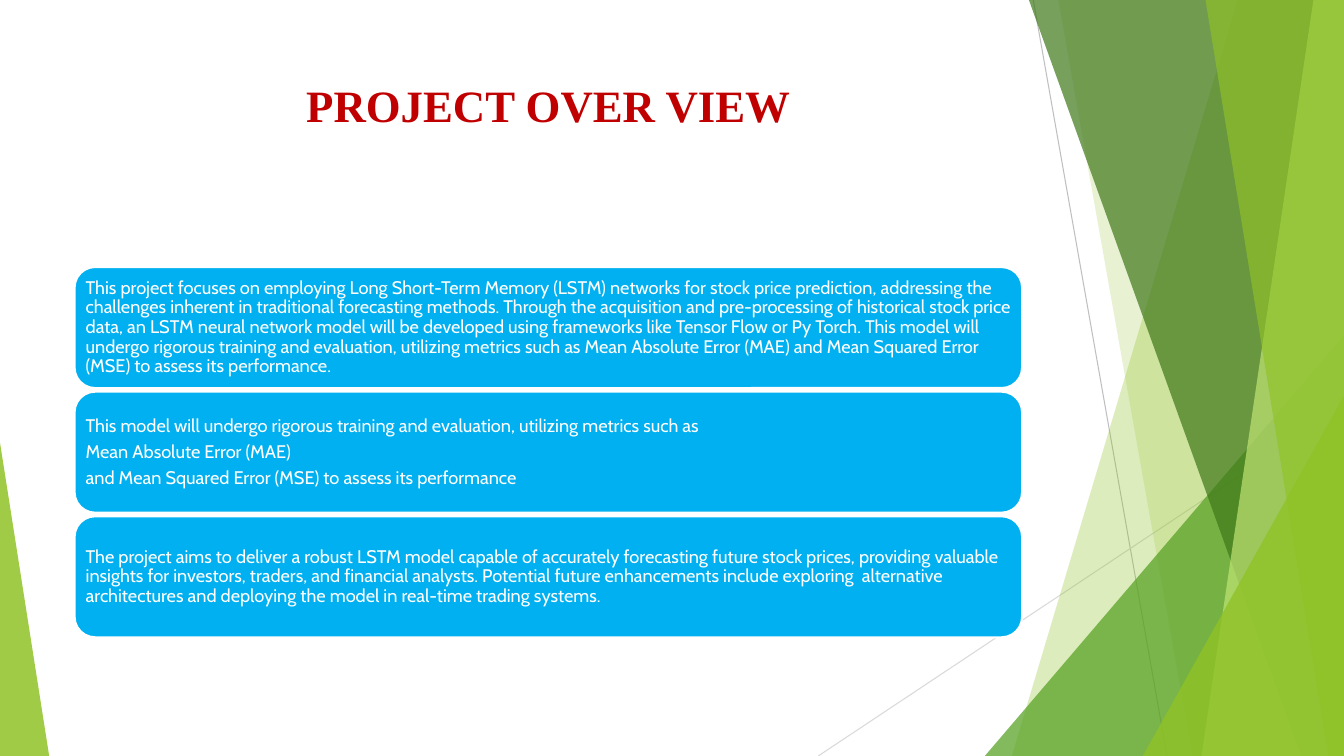
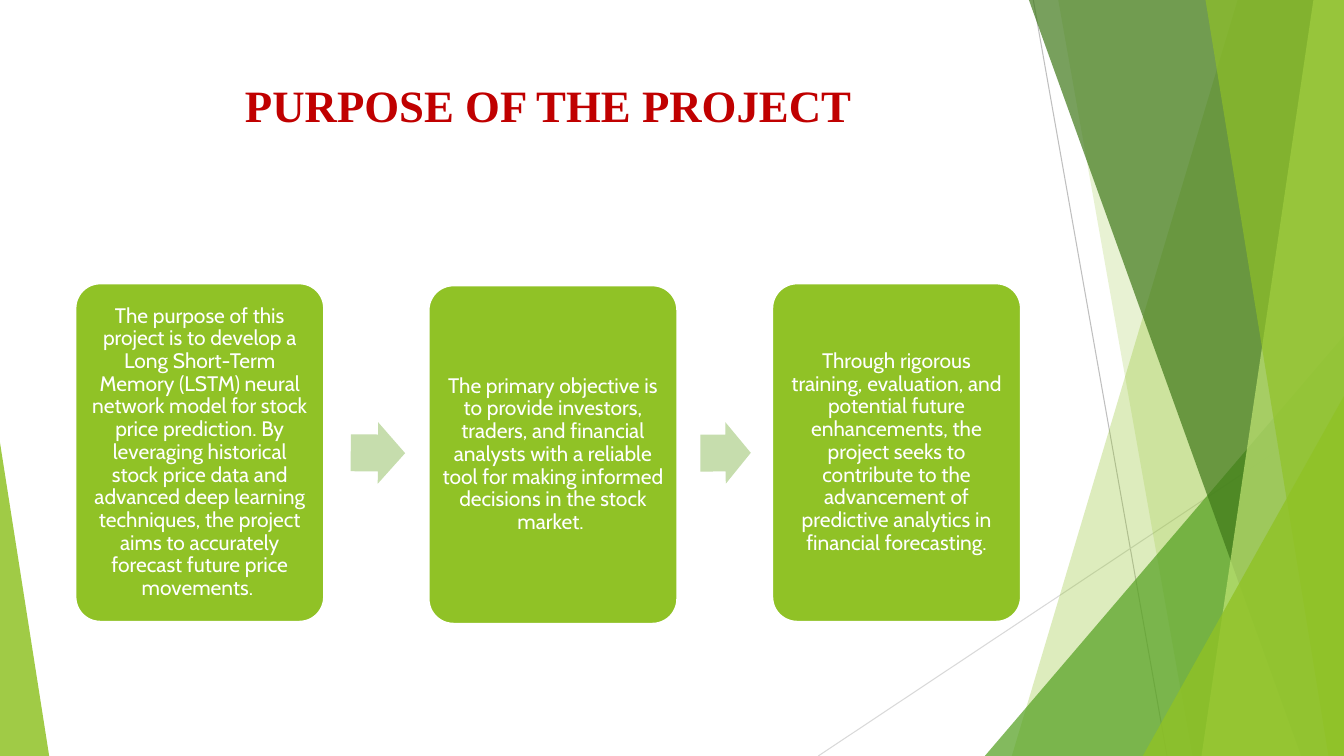
import dataclasses

import lxml.etree
import pptx
import pptx.dml.color
import pptx.enum.shapes
import pptx.enum.text
import pptx.oxml
import pptx.oxml.ns
import pptx.presentation
import pptx.shapes.autoshape
import pptx.slide
import pptx.util

Cm = pptx.util.Cm
Pt = pptx.util.Pt
SHAPE = pptx.enum.shapes.MSO_SHAPE
ALIGN = pptx.enum.text.PP_ALIGN
ANCHOR = pptx.enum.text.MSO_ANCHOR

# Shared look
WIDTH, HEIGHT = 33.87, 19.05
WHITE, RED, BLUE = "FFFFFF", "C00000", "00B0F0"
GREEN, MID_GREEN, DARK_GREEN = "90C226", "54A021", "3F7819"
LIME, PALE_GREEN = "C0E474", "C6DDAD"
TITLE_FONT, BODY_FONT = "Times New Roman", "Cabin"


@dataclasses.dataclass(frozen=True)
class Ray:
    """Thin straight line of the backdrop."""
    start: tuple[float, float]
    end: tuple[float, float]
    colour: str


@dataclasses.dataclass(frozen=True)
class Facet:
    """Area between a slanted edge and the right side of the slide."""
    top_x: float
    bottom_x: float
    colour: str
    opacity: int


@dataclasses.dataclass(frozen=True)
class Corner:
    """Right triangle standing on the bottom of the slide."""
    left: float
    width: float
    height: float
    peak: float
    colour: str
    opacity: int


@dataclasses.dataclass(frozen=True)
class Box:
    left: float
    top: float
    paragraphs: tuple[str, ...]


@dataclasses.dataclass(frozen=True)
class BoxStyle:
    width: float
    height: float
    rounding: float
    inset: float
    size: float
    colour: str
    alignment: pptx.enum.text.PP_ALIGN


@dataclasses.dataclass(frozen=True)
class Arrow:
    left: float
    width: float
    rotation: float


BACKDROP = (
    Ray((26.04, 0), (29.41, HEIGHT), "BFBFBF"),
    Ray((WIDTH, 10.24), (20.62, HEIGHT), "D9D9D9"),
    Facet(31.19, 25.5, GREEN, 30),
    Facet(26.67, 30.05, GREEN, 20),
    Corner(24.82, 9.05, 10.59, 1, MID_GREEN, 72),
    Facet(25.93, 32.79, DARK_GREEN, 70),
    Facet(33.1, 30.28, LIME, 70),
    Facet(30.38, 33.48, GREEN, 65),
    Corner(28.8, 5.07, 9.07, 1, GREEN, 80),
    Corner(0, 1.24, 7.9, 0, GREEN, 85),
)

OVERVIEW_STYLE = BoxStyle(23.88, 3.05, 0.17, 0.13, 13, BLUE, ALIGN.LEFT)
OVERVIEW_TOP, OVERVIEW_PITCH = 6.73, 3.14
OVERVIEW = (
    ("This project focuses on employing Long Short-Term Memory (LSTM) networks for stock price "
     "prediction, addressing the challenges inherent in traditional forecasting methods. Through "
     "the acquisition and pre-processing of historical stock price data, an LSTM neural network "
     "model will be developed using frameworks like Tensor Flow or Py Torch. This model will "
     "undergo rigorous training and evaluation, utilizing metrics such as Mean Absolute Error "
     "(MAE) and Mean Squared Error (MSE) to assess its performance.",),
    ("This model will undergo rigorous training and evaluation, utilizing metrics such as",
     "Mean Absolute Error (MAE)",
     "and Mean Squared Error (MSE) to assess its performance"),
    ("The project aims to deliver a robust LSTM model capable of accurately forecasting future "
     "stock prices, providing valuable insights for investors, traders, and financial analysts. "
     "Potential future enhancements include exploring  alternative architectures and deploying "
     "the model in real-time trading systems.",),
)

PURPOSE_STYLE = BoxStyle(6.27, 8.53, 0.1, 0.15, 15, GREEN, ALIGN.CENTER)
PURPOSE = (
    Box(1.9, 7.14, (
        "The purpose of this project is to develop a Long Short-Term Memory (LSTM) neural network "
        "model for stock price prediction. By leveraging historical stock price data and advanced "
        "deep learning techniques, the project aims to accurately forecast future price "
        "movements. ",)),
    Box(10.8, 7.19, (
        "The primary objective is to provide investors, traders, and financial analysts with a "
        "reliable tool for making informed decisions in the stock market. ",)),
    Box(19.46, 7.14, (
        "Through rigorous training, evaluation, and potential future enhancements, the project "
        "seeks to contribute to the advancement of predictive analytics in financial "
        "forecasting.",)),
)
ARROW_TOP, ARROW_HEIGHT = 10.64, 1.55
ARROWS = (Arrow(8.84, 1.37, 0.4), Arrow(17.65, 1.27, 359.6))


def rgb(colour: str) -> pptx.dml.color.RGBColor:
    return pptx.dml.color.RGBColor.from_string(colour)


def paint(shape: pptx.shapes.autoshape.Shape, colour: str, opacity: int = 100) -> None:
    """Give a shape a flat fill with no outline or shadow."""
    shape.shadow.inherit = False
    shape.fill.solid()
    shape.fill.fore_color.rgb = rgb(colour)
    shape.line.fill.background()
    if opacity < 100:
        fill_colour = shape.element.spPr.find(".//" + pptx.oxml.ns.qn("a:srgbClr"))
        alpha = lxml.etree.SubElement(fill_colour, pptx.oxml.ns.qn("a:alpha"))
        alpha.set("val", str(opacity * 1000))


def draw_ray(slide: pptx.slide.Slide, ray: Ray):
    connector = slide.shapes.add_connector(
        pptx.enum.shapes.MSO_CONNECTOR.STRAIGHT,
        Cm(ray.start[0]), Cm(ray.start[1]), Cm(ray.end[0]), Cm(ray.end[1]))
    connector.line.color.rgb = rgb(ray.colour)
    connector.line.width = Pt(0.75)
    lxml.etree.SubElement(connector.element.spPr, pptx.oxml.ns.qn("a:effectLst"))
    return connector


def draw_facet(slide: pptx.slide.Slide, facet: Facet):
    builder = slide.shapes.build_freeform(Cm(facet.top_x), 0)
    builder.add_line_segments([
        (Cm(WIDTH), 0), (Cm(WIDTH), Cm(HEIGHT)), (Cm(facet.bottom_x), Cm(HEIGHT))])
    shape = builder.convert_to_shape()
    paint(shape, facet.colour, facet.opacity)
    return shape


def draw_corner(slide: pptx.slide.Slide, corner: Corner):
    shape = slide.shapes.add_shape(
        SHAPE.ISOSCELES_TRIANGLE, Cm(corner.left), Cm(HEIGHT - corner.height),
        Cm(corner.width), Cm(corner.height))
    shape.adjustments[0] = corner.peak
    paint(shape, corner.colour, corner.opacity)
    return shape


def move_backdrop_to_layout(slide: pptx.slide.Slide) -> None:
    """Draw the backdrop and place it in the layout, behind its title."""
    layout = slide.slide_layout
    for placeholder in list(layout.placeholders):
        if placeholder.placeholder_format.idx == 0:
            layout_title = placeholder.element
        else:
            layout.shapes.element.remove(placeholder.element)
    draw = {Ray: draw_ray, Facet: draw_facet, Corner: draw_corner}
    for part in BACKDROP:
        layout_title.addprevious(draw[type(part)](slide, part).element)


def add_titled_slide(presentation: pptx.presentation.Presentation, text: str) -> pptx.slide.Slide:
    slide = presentation.slides.add_slide(presentation.slide_layouts[5])
    title = slide.shapes.title
    title.left, title.top, title.width, title.height = Cm(1.88), Cm(1.7), Cm(23.88), Cm(3.7)
    frame = title.text_frame
    frame.text = text
    frame.auto_size = pptx.enum.text.MSO_AUTO_SIZE.NONE
    frame.vertical_anchor = ANCHOR.TOP
    frame.margin_top = Cm(0.25)
    paragraph = frame.paragraphs[0]
    paragraph.alignment = ALIGN.CENTER
    font = paragraph.runs[0].font
    font.name, font.size, font.bold = TITLE_FONT, Pt(32), True
    font.color.rgb = rgb(RED)
    return slide


def add_box(slide: pptx.slide.Slide, box: Box, style: BoxStyle) -> None:
    shape = slide.shapes.add_shape(
        SHAPE.ROUNDED_RECTANGLE, Cm(box.left), Cm(box.top), Cm(style.width), Cm(style.height))
    shape.adjustments[0] = style.rounding
    paint(shape, style.colour)
    shape.line.color.rgb = rgb(WHITE)
    shape.line.width = Pt(1.5)
    frame = shape.text_frame
    frame.word_wrap = True
    frame.vertical_anchor = ANCHOR.MIDDLE
    frame.margin_left = frame.margin_right = Cm(style.inset)
    frame.margin_top = frame.margin_bottom = Cm(style.inset)
    frame.text = "\n".join(box.paragraphs)
    for paragraph in frame.paragraphs:
        paragraph.alignment = style.alignment
        paragraph.line_spacing = 0.9
        paragraph.space_after = Pt(0.35 * style.size)
        font = paragraph.runs[0].font
        font.name, font.size = BODY_FONT, Pt(style.size)
        font.color.rgb = rgb(WHITE)


def add_arrow(slide: pptx.slide.Slide, arrow: Arrow) -> None:
    shape = slide.shapes.add_shape(
        SHAPE.RIGHT_ARROW, Cm(arrow.left), Cm(ARROW_TOP), Cm(arrow.width), Cm(ARROW_HEIGHT))
    shape.adjustments[0] = 0.6
    shape.rotation = arrow.rotation
    paint(shape, PALE_GREEN)


def main() -> None:
    presentation = pptx.Presentation()
    presentation.slide_width, presentation.slide_height = Cm(WIDTH), Cm(HEIGHT)

    # Overview: stacked bars
    overview = add_titled_slide(presentation, "PROJECT OVER VIEW")
    move_backdrop_to_layout(overview)
    for row, paragraphs in enumerate(OVERVIEW):
        box = Box(1.88, OVERVIEW_TOP + row * OVERVIEW_PITCH, paragraphs)
        add_box(overview, box, OVERVIEW_STYLE)

    # Purpose: three cards joined by arrows
    purpose = add_titled_slide(presentation, "PURPOSE OF THE PROJECT")
    for box in PURPOSE:
        add_box(purpose, box, PURPOSE_STYLE)
    for arrow in ARROWS:
        add_arrow(purpose, arrow)

    presentation.save("out.pptx")


if __name__ == "__main__":
    main()
